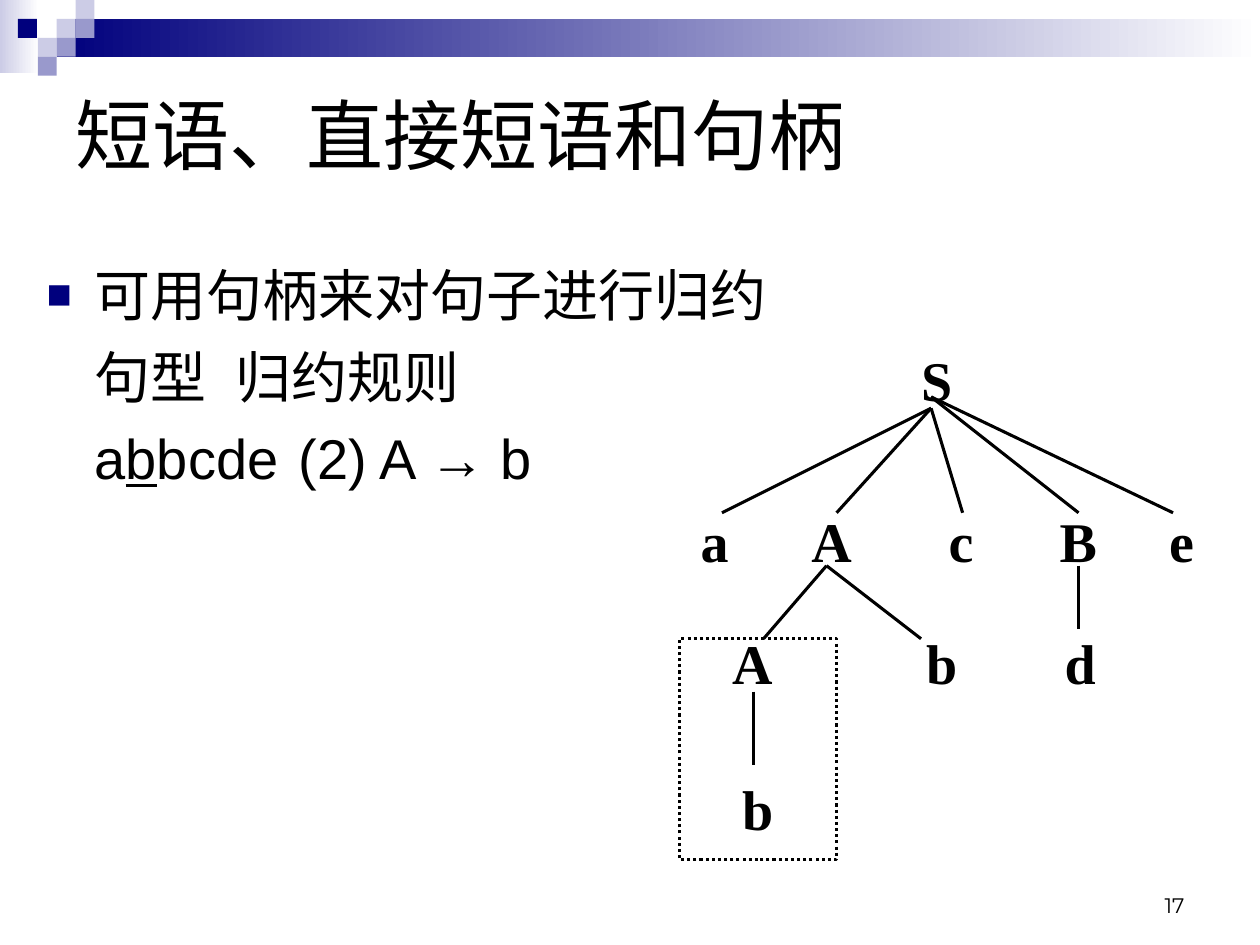
from lxml.etree import SubElement
from pptx import Presentation
from pptx.dml.color import RGBColor
from pptx.enum.dml import MSO_LINE
from pptx.enum.shapes import MSO_CONNECTOR as LINK, MSO_SHAPE as SHAPE
from pptx.enum.text import MSO_ANCHOR as ANCHOR, MSO_AUTO_SIZE as FIT, PP_ALIGN as ALIGN
from pptx.oxml.ns import qn
from pptx.util import Inches, Pt

NAVY = RGBColor(0x00, 0x00, 0x7D)
MID = RGBColor(0x99, 0x99, 0xCC)
PALE = RGBColor(0xCC, 0xCC, 0xE6)
WHITE = RGBColor(0xFF, 0xFF, 0xFF)
BLACK = RGBColor(0x00, 0x00, 0x00)

UNIT = 0.15  # side of one mosaic tile
TILES = [(3, 1, PALE), (4, 0, PALE), (4, 1, MID), (2, 2, PALE),
         (0.95, 1, NAVY), (3, 2, MID), (2, 3, MID)]

WIDTH = {"S": 0.25, "A": 0.32, "B": 0.3, "a": 0.22, "b": 0.25,
         "c": 0.2, "d": 0.25, "e": 0.2}
ROWS = [2.74, 4.02, 4.99, 6.15]  # tops of the tree levels
NODES = [[("S", 7.31)],
         [("a", 5.56), ("A", 6.44), ("c", 7.53), ("B", 8.41), ("e", 9.28)],
         [("A", 5.81), ("b", 7.35), ("d", 8.45)],
         [("b", 5.89)]]
# start point, then the ends of its branches
FANS = [((7.39, 3.24), [(5.73, 4.07), (6.64, 4.07), (7.64, 4.07)]),
        ((7.39, 3.15), [(8.56, 4.07), (9.31, 4.07)]),
        ((6.56, 4.49), [(6.06, 5.07), (7.31, 5.07)]),
        ((8.56, 4.49), [(8.56, 4.99)]),
        ((5.98, 5.49), [(5.98, 6.07)])]


def place(shape, *box):
    shape.left, shape.top, shape.width, shape.height = map(Inches, box)


def add_run(para, text, size, face="Arial", bold=False, under=False):
    run = para.add_run()
    run.text = text
    font = run.font
    font.size, font.name, font.bold = Pt(size), face, bold
    font.underline = under
    font.color.rgb = BLACK


def add_rect(slide, *box):
    rect = slide.shapes.add_shape(SHAPE.RECTANGLE, *map(Inches, box))
    rect.shadow.inherit = False
    rect.line.fill.background()
    return rect


def add_fade(slide, color, *box):
    fill = add_rect(slide, *box).fill
    fill.gradient()
    fill.gradient_angle = 0
    for stop, tone in zip(fill.gradient_stops, (color, WHITE)):
        stop.color.rgb = tone


def add_banner(slide):
    add_fade(slide, PALE, 0, 0, 0.31, 0.58)
    add_fade(slide, NAVY, 3 * UNIT, UNIT, 10 - 3 * UNIT, 2 * UNIT)
    for col, row, color in TILES:
        fill = add_rect(slide, col * UNIT, row * UNIT, UNIT, UNIT).fill
        fill.solid()
        fill.fore_color.rgb = color


def add_title(slide):
    title = slide.shapes.title
    place(title, 0.5, 0.5, 9, 1.12)
    frame = title.text_frame
    frame.auto_size, frame.vertical_anchor = FIT.NONE, ANCHOR.MIDDLE
    para = frame.paragraphs[0]
    para.alignment = ALIGN.LEFT
    add_run(para, "短语、直接短语和句柄", 44)


def set_list(para, bullet=False, stop=None):
    """Give a square bullet, or a plain indent with one tab stop."""
    props = para._p.get_or_add_pPr()
    props.set("marL", str(Inches(0.38 if bullet else 0)))
    props.set("indent", str(Inches(-0.38 if bullet else 0.38)))
    if bullet:
        color = SubElement(props, qn("a:buClr"))
        SubElement(color, qn("a:srgbClr"), val=str(NAVY))
        SubElement(props, qn("a:buSzPct"), val="75000")
        SubElement(props, qn("a:buFont"), typeface="Arial")
        SubElement(props, qn("a:buChar"), char="■")
    else:
        SubElement(props, qn("a:buNone"))
        tabs = SubElement(props, qn("a:tabLst"))
        SubElement(tabs, qn("a:tab"), pos=str(Inches(stop)), algn="l")


def add_body(slide):
    body = slide.placeholders[1]
    place(body, 0.27, 2.02, 6.06, 4.57)
    frame = body.text_frame
    frame.auto_size = FIT.NONE
    head = frame.paragraphs[0]
    head.space_before = Pt(0)
    set_list(head, bullet=True)
    add_run(head, "可用句柄来对句子进行归约", 32)
    for stop, parts in [(1.77, ["句型\t归约规则"]),
                        (2.18, ["a", "b", "bcde\t(2) A → b"])]:
        para = frame.add_paragraph()
        para.space_before = Pt(8)
        set_list(para, stop=stop)
        for part in parts:
            add_run(para, part, 32, under=part == "b")


def add_node(slide, text, left, top):
    box = slide.shapes.add_textbox(*map(Inches, (left, top, WIDTH[text], 0.53)))
    frame = box.text_frame
    frame.margin_left = frame.margin_right = 0
    frame.margin_top = frame.margin_bottom = 0
    frame.word_wrap = False
    add_run(frame.paragraphs[0], text, 32, "Times New Roman", bold=True)


def add_edge(slide, start, end):
    edge = slide.shapes.add_connector(LINK.STRAIGHT, *map(Inches, start + end))
    edge.line.color.rgb = BLACK
    edge.line.width = Pt(1.75)
    SubElement(edge._element.spPr, qn("a:effectLst"))


def add_tree(slide):
    for top, row in zip(ROWS, NODES):
        for text, left in row:
            add_node(slide, text, left, top)
    for start, ends in FANS:
        for end in ends:
            add_edge(slide, start, end)
    frame = add_rect(slide, 5.39, 5.07, 1.25, 1.75)
    frame.fill.background()
    frame.line.color.rgb = BLACK
    frame.line.width = Pt(1.75)
    frame.line.dash_style = MSO_LINE.ROUND_DOT


def add_number(slide):
    box = slide.shapes.add_textbox(*map(Inches, (7.17, 6.83, 2.33, 0.5)))
    frame = box.text_frame
    frame.word_wrap, frame.vertical_anchor = True, ANCHOR.BOTTOM
    para = frame.paragraphs[0]
    para.alignment = ALIGN.RIGHT
    add_run(para, "17", 12, "Montserrat")


def main():
    deck = Presentation()
    deck.slide_width, deck.slide_height = Inches(10), Inches(7.5)
    slide = deck.slides.add_slide(deck.slide_layouts[1])
    add_banner(slide)
    add_title(slide)
    add_body(slide)
    add_tree(slide)
    add_number(slide)
    deck.save("out.pptx")


if __name__ == "__main__":
    main()
